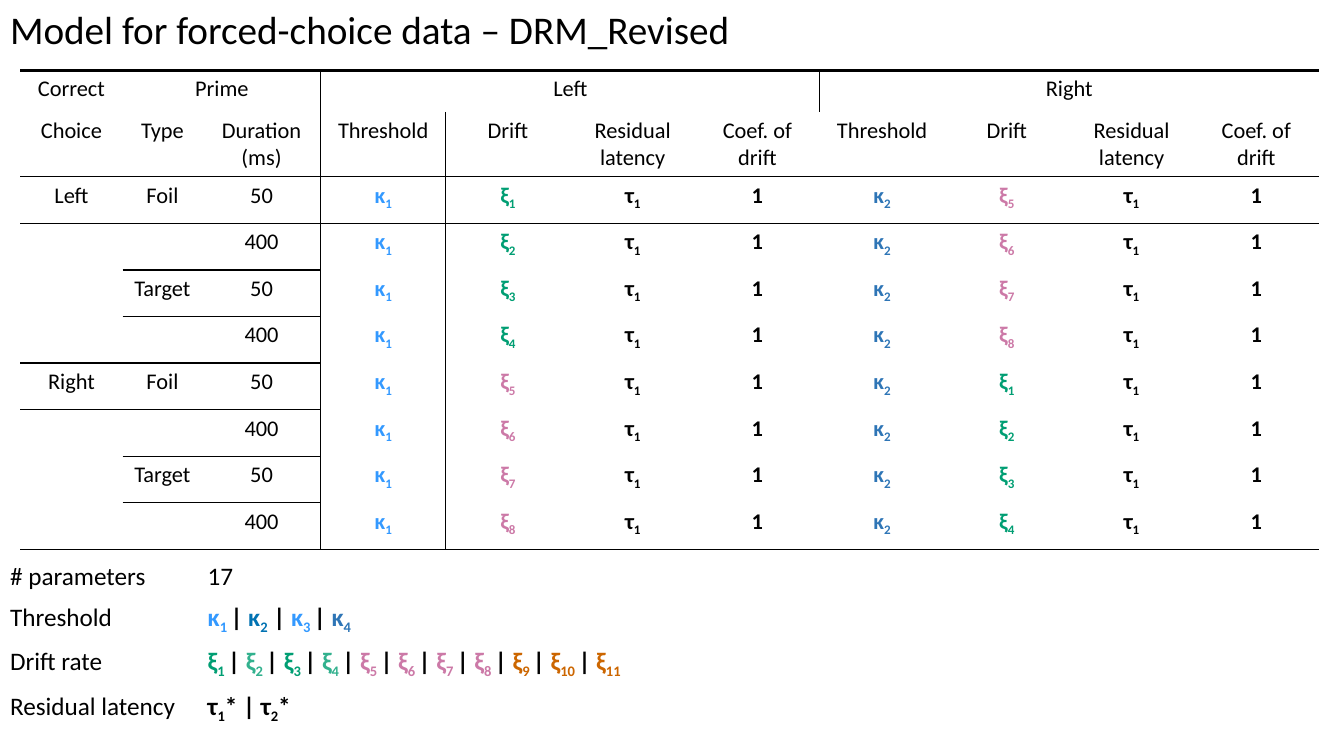
from dataclasses import dataclass
from lxml.etree import SubElement
from pptx import Presentation
from pptx.dml.color import RGBColor as Color
from pptx.enum.text import MSO_ANCHOR as Anchor, PP_ALIGN as Align
from pptx.oxml.ns import qn
from pptx.util import Inches, Pt


@dataclass(frozen=True)
class Theme:
    font: str = "Calibri"
    head: int = 28
    cell: int = 16
    note: int = 18
    thin: float = 1
    thick: float = 2.25
    ink: str = "000000"
    paper: str = "FFFFFF"
    sky: str = "3399FF"
    steel: str = "2E75B6"
    blue: str = "0072B2"
    green: str = "009E73"
    mint: str = "32B18E"
    pink: str = "CC79A7"
    rust: str = "CC6600"


T = Theme()
WIDE, HIGH = Inches(13.33), Inches(7.5)
PLAIN = "{2D5ABB26-0587-4C30-8999-92F81FD0307C}"  # table style without grid


def place(x, y, w, h):
    """Turn percent of the slide into lengths."""
    return [int(part * side / 100)
            for part, side in zip((x, y, w, h), (WIDE, HIGH) * 2)]


def style(par, size, bold=False, align=Align.LEFT):
    par.alignment = align
    par.font.name, par.font.size, par.font.bold = T.font, Pt(size), bold
    par.font.color.rgb = Color.from_string(T.ink)


def write(par, terms):
    """Each term is a symbol, its index, its colour and the text after it."""
    for sign, index, tint, tail in terms:
        for text, hue, low in ((sign, tint, False), (index, tint, True),
                               (tail, T.ink, False)):
            if text:
                run = par.add_run()
                run.text = text
                run.font.color.rgb = Color.from_string(hue)
                if low:
                    run._r.get_or_add_rPr().set("baseline", "-25000")


def fill_cell(cell, value, size, align):
    """A string is plain text; a list holds bold terms."""
    frame = cell.text_frame
    terms = isinstance(value, list)
    if not terms:
        frame.text = value
    for par in frame.paragraphs:
        style(par, size, terms, align)
    if terms:
        write(frame.paragraphs[0], value)


def add_grid(slide, box, cols, rows):
    """Add a plain table whose columns and rows share the box by weight."""
    x, y, w, h = place(*box)
    table = slide.shapes.add_table(len(rows), len(cols), x, y, w, h).table
    table.first_row = table.horz_banding = False
    table._tbl.tblPr.find(qn("a:tableStyleId")).text = PLAIN
    for col, share in zip(table.columns, cols):
        col.width = int(w * share / sum(cols))
    for row, share in zip(table.rows, rows):
        row.height = int(h * share / sum(rows))
    return table


def rule(cell, **sides):
    for side, width in sides.items():
        if width:
            line = SubElement(cell._tc.get_or_add_tcPr(), qn(f"a:ln{side}"),
                              w=str(Pt(width)))
            fill = SubElement(line, qn("a:solidFill"))
            SubElement(fill, qn("a:srgbClr"), val=T.ink)


def under(row, col):
    """Width of the line below a cell of the model table."""
    if row < 1:
        return 0
    if row in (1, 9):
        return T.thin
    start = (2, 1, 2, 0)[(row - 2) % 4]
    return T.thin if start <= col <= 2 else 0


def model_rows():
    """Two header rows, then choice x prime type x duration."""
    half = ["Threshold", "Drift", "Residual latency", "Coef. of\ndrift"]
    rows = [["Correct", "Prime", "", "Left", "", "", "", "Right", "", "", ""],
            ["Choice", "Type", "Duration (ms)"] + half * 2]
    for i in range(8):
        line = ["" if i % 4 else ("Left", "Right")[i // 4],
                "" if i % 2 else ("Foil", "Target")[i // 2 % 2],
                ("50", "400")[i % 2]]
        for side, tint in enumerate((T.sky, T.steel)):
            drift = (i + 4 * side) % 8 + 1
            hue = T.green if drift <= 4 else T.pink
            line += [[("κ", str(side + 1), tint, "")],
                     [("ξ", str(drift), hue, "")],
                     [("τ", "1", T.ink, "")],
                     [("1", "", T.ink, "")]]
        rows.append(line)
    return rows


def add_model(slide, box):
    table = add_grid(slide, box, [1.02, 0.79, 1.18] + [1.24] * 8,
                     [0.41, 0.64] + [0.46] * 8)
    for first, last in ((1, 2), (3, 6), (7, 10)):
        table.cell(0, first).merge(table.cell(0, last))
    for r, row in enumerate(model_rows()):
        for c, value in enumerate(row):
            cell = table.cell(r, c)
            edge = c == 2 or (r == 0 and c == 1)
            rule(cell, L=T.thin * (c == 3), R=T.thin * edge,
                 T=under(r - 1, c) if r else T.thick, B=under(r, c))
            cell.fill.background()
            fill_cell(cell, value, T.cell, Align.CENTER)


def add_notes(slide, box):
    """List the parameters of the model."""
    hues = [T.green, T.mint] * 2 + [T.pink] * 4 + [T.rust] * 3
    drift = [("ξ", f"{n} ", hue, "| ") for n, hue in enumerate(hues[:-1], 1)]
    drift.append(("ξ", "11", hues[-1], ""))
    rows = [
        ("# parameters", "17"),
        ("Threshold", [("κ", "1 ", T.sky, "| "), ("κ", "2", T.blue, " | "),
                       ("κ", "3 ", T.sky, "| "), ("κ", "4", T.steel, "")]),
        ("Drift rate", drift),
        ("Residual latency", [("τ", "1", T.ink, "* | "),
                              ("τ", "2", T.ink, "*")]),
    ]
    table = add_grid(slide, box, [1.96, 11.26], [0.4] + [0.44] * 3)
    for r, row in enumerate(rows):
        for c, value in enumerate(row):
            cell = table.cell(r, c)
            cell.fill.solid()
            cell.fill.fore_color.rgb = Color.from_string(T.paper)
            fill_cell(cell, value, T.note, Align.LEFT)


def add_title(slide, box, text):
    title = slide.shapes.title
    title.left, title.top, title.width, title.height = place(*box)
    frame = title.text_frame
    frame.text = text
    frame.word_wrap = False
    frame.vertical_anchor = Anchor.TOP
    style(frame.paragraphs[0], T.head)


def main():
    deck = Presentation()
    deck.slide_width, deck.slide_height = WIDE, HIGH
    slide = deck.slides.add_slide(deck.slide_layouts[5])
    add_title(slide, (0, 0, 55.66, 7.6),
              "Model for forced-choice data – DRM_Revised")
    add_model(slide, (1.5, 9.33, 96.62, 63.33))
    add_notes(slide, (0, 73.6, 99.17, 22.93))
    deck.save("out.pptx")


if __name__ == "__main__":
    main()
